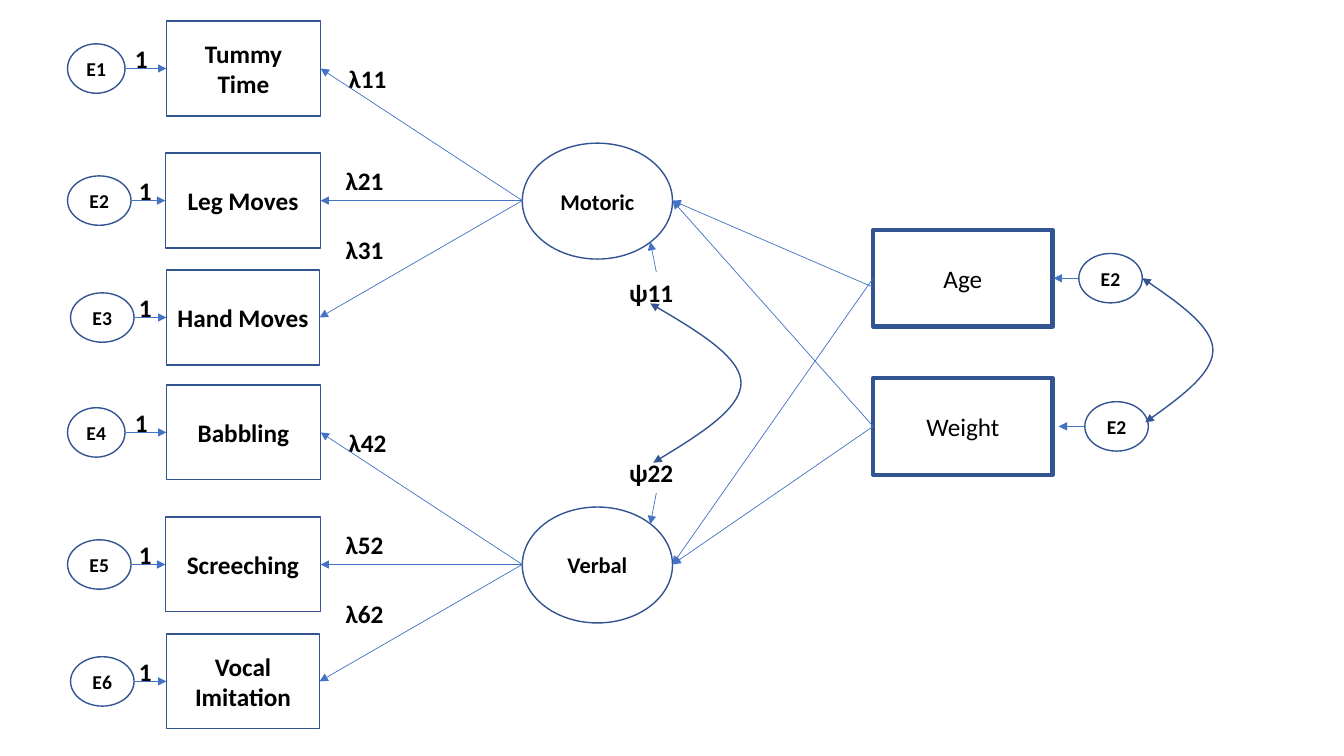
import pptx
import pptx.util
import pptx.dml.color
import pptx.enum.shapes
import pptx.enum.text
import pptx.oxml
import pptx.oxml.ns

COLORS = {"outline": "325491", "arrow": "4472C4", "fill": "FFFFFF", "text": "000000"}
FONT = "Calibri"
SHAPE = pptx.enum.shapes.MSO_SHAPE
INCH = pptx.util.Inches

# Regions: left and top of each, in inches
MEASURE_X, MEASURE_TOPS = 0.67, (0.21, 3.82)
COVARIANCE = (6.14, 2.4)
PREDICTORS = (8.66, 2.28)
ERROR_H = 0.49
FACTOR_RIGHT, FACTOR_MID = 6.67, 1.78  # right tip; mid height within a measurement region


def rgb(name):
    return pptx.dml.color.RGBColor.from_string(COLORS[name])


def write(s, text, size=18, bold=True, align="CENTER", anchor="MIDDLE"):
    tf = s.text_frame
    tf.word_wrap = True
    tf.vertical_anchor = getattr(pptx.enum.text.MSO_ANCHOR, anchor)
    p = tf.paragraphs[0]
    p.alignment = getattr(pptx.enum.text.PP_ALIGN, align)
    r = p.add_run()
    r.text = text
    r.font.name, r.font.size, r.font.bold = FONT, pptx.util.Pt(size), bold
    r.font.color.rgb = rgb("text")


def add_node(slide, kind, x, y, w, h, text, weight=1, filled=True, **text_format):
    s = slide.shapes.add_shape(kind, INCH(x), INCH(y), INCH(w), INCH(h))
    s.shadow.inherit = False
    if filled:
        s.fill.solid()
        s.fill.fore_color.rgb = rgb("fill")
    else:
        s.fill.background()
    s.line.color.rgb, s.line.width = rgb("outline"), pptx.util.Pt(weight)
    write(s, text, **text_format)


def add_error(slide, x, mid, w, text):
    add_node(slide, SHAPE.OVAL, x, mid - ERROR_H / 2, w, ERROR_H, text, size=14)


def add_label(slide, x, y, w, text):
    s = slide.shapes.add_textbox(INCH(x), INCH(y), INCH(w), INCH(0.4))
    write(s, text, align="LEFT", anchor="TOP")


def set_heads(s, *ends):
    ln = s.line._get_or_add_ln()
    for end in ends:
        head = pptx.oxml.parse_xml(f'<a:{end} {pptx.oxml.ns.nsdecls("a")} type="triangle"/>')
        ln.append(head)


def add_arrow(slide, x1, y1, x2, y2):
    s = slide.shapes.add_connector(pptx.enum.shapes.MSO_CONNECTOR.STRAIGHT,
                                   INCH(x1), INCH(y1), INCH(x2), INCH(y2))
    s.line.color.rgb, s.line.width = rgb("arrow"), pptx.util.Pt(0.5)
    set_heads(s, "tailEnd")
    s._element.spPr.append(
        pptx.oxml.parse_xml(f'<a:effectLst {pptx.oxml.ns.nsdecls("a")}/>'))


def add_curve(slide, top, bottom, bulge):
    """Double-headed arc between two points, reaching right to x = bulge."""
    middle = (top[1] + bottom[1]) / 2
    points = []
    for (x, y), steps in ((top, range(21)), (bottom, range(19, -1, -1))):
        # Cubic Bezier whose controls divide the end-to-middle span into thirds
        cx = x + (bulge - x) / 2
        cy1, cy2 = y + (middle - y) / 3, y + (middle - y) * 2 / 3
        for t in (step / 20 for step in steps):
            a, b, c, d = (1 - t) ** 3, 3 * t * (1 - t) ** 2, 3 * t * t * (1 - t), t ** 3
            points.append((INCH(a * x + b * cx + (c + d) * bulge),
                           INCH(a * y + b * cy1 + c * cy2 + d * middle)))
    builder = slide.shapes.build_freeform(*points[0])
    builder.add_line_segments(points[1:], close=False)
    s = builder.convert_to_shape()
    s.shadow.inherit = False
    s.fill.background()
    s.line.color.rgb, s.line.width = rgb("outline"), pptx.util.Pt(1)
    set_heads(s, "headEnd", "tailEnd")


# Factor with three indicators and their errors
def measurement(slide, left, top, factor, indicators):
    # mid height, error x and width, box x and width, "1" x, loading x, y and width
    rows = ((0.47, 0, 0.57, 0.98, 1.53, 0.57, 2.69, 0.37, 0.69),
            (1.78, 0, 0.63, 0.97, 1.54, 0.61, 2.66, 1.38, 0.73),
            (2.94, 0.03, 0.63, 0.98, 1.52, 0.61, 2.66, 2.07, 0.69))
    factor_x = left + 4.51
    add_node(slide, SHAPE.OVAL, factor_x, top + 1.21, 1.49, 1.15, factor, size=16)
    for row, (error, name, loading) in zip(rows, indicators):
        mid, error_x, error_w, box_x, box_w, one_x, load_x, load_y, load_w = row
        y = top + mid
        add_error(slide, left + error_x, y, error_w, error)
        add_node(slide, SHAPE.RECTANGLE, left + box_x, y - 0.47, box_w, 0.94, name)
        add_label(slide, left + one_x, y - 0.3, 0.33, "1")
        add_label(slide, left + load_x, top + load_y, load_w, loading)
        add_arrow(slide, left + error_x + error_w, y, left + box_x, y)
        add_arrow(slide, factor_x, top + FACTOR_MID, left + box_x + box_w, y)


# Factor variances joined by a curve
def covariance(slide, left, top):
    for text, label_y, start, end in (("ψ11", 0.3, 0.3, 0), ("ψ22", 2.09, 2.49, 2.8)):
        add_label(slide, left, top + label_y, 0.72, text)
        add_arrow(slide, left + 0.37, top + start, left + 0.31, top + end)
    add_curve(slide, (left + 0.31, top + 0.61), (left + 0.34, top + 2.19), left + 1.21)


# Age and Weight with correlated errors and paths to both factors
def predictors(slide, left, top):
    # name, box y, error x, arrow tip x, heights of the paths to each factor
    rows = (("Age", 0, 2.04, 1.79, (0.57, 0.48)),
            ("Weight", 1.47, 2.1, 1.84, (1.95, 1.95)))
    for name, y, error_x, tip_x, starts in rows:
        mid = top + y + 0.48
        add_node(slide, SHAPE.RECTANGLE, left, top + y, 1.78, 0.96, name,
                 weight=3, filled=False, bold=False)
        for start, factor_top in zip(starts, MEASURE_TOPS):
            add_arrow(slide, left, top + start, FACTOR_RIGHT, factor_top + FACTOR_MID)
        add_error(slide, left + error_x, mid, 0.63, "E2")
        add_arrow(slide, left + error_x, mid, left + tip_x, mid)
    add_curve(slide, (left + 2.67, top + 0.48), (left + 2.7, top + 1.91), left + 3.37)


def main():
    prs = pptx.Presentation()
    prs.slide_width, prs.slide_height = INCH(13.33), INCH(7.5)
    slide = prs.slides.add_slide(prs.slide_layouts[6])
    factors = (
        ("Motoric", (("E1", "Tummy Time", "λ11"), ("E2", "Leg Moves", "λ21"),
                     ("E3", "Hand Moves", "λ31"))),
        ("Verbal", (("E4", "Babbling", "λ42"), ("E5", "Screeching", "λ52"),
                    ("E6", "Vocal Imitation", "λ62"))),
    )
    for top, (factor, indicators) in zip(MEASURE_TOPS, factors):
        measurement(slide, MEASURE_X, top, factor, indicators)
    covariance(slide, *COVARIANCE)
    predictors(slide, *PREDICTORS)
    prs.save("out.pptx")


if __name__ == "__main__":
    main()
